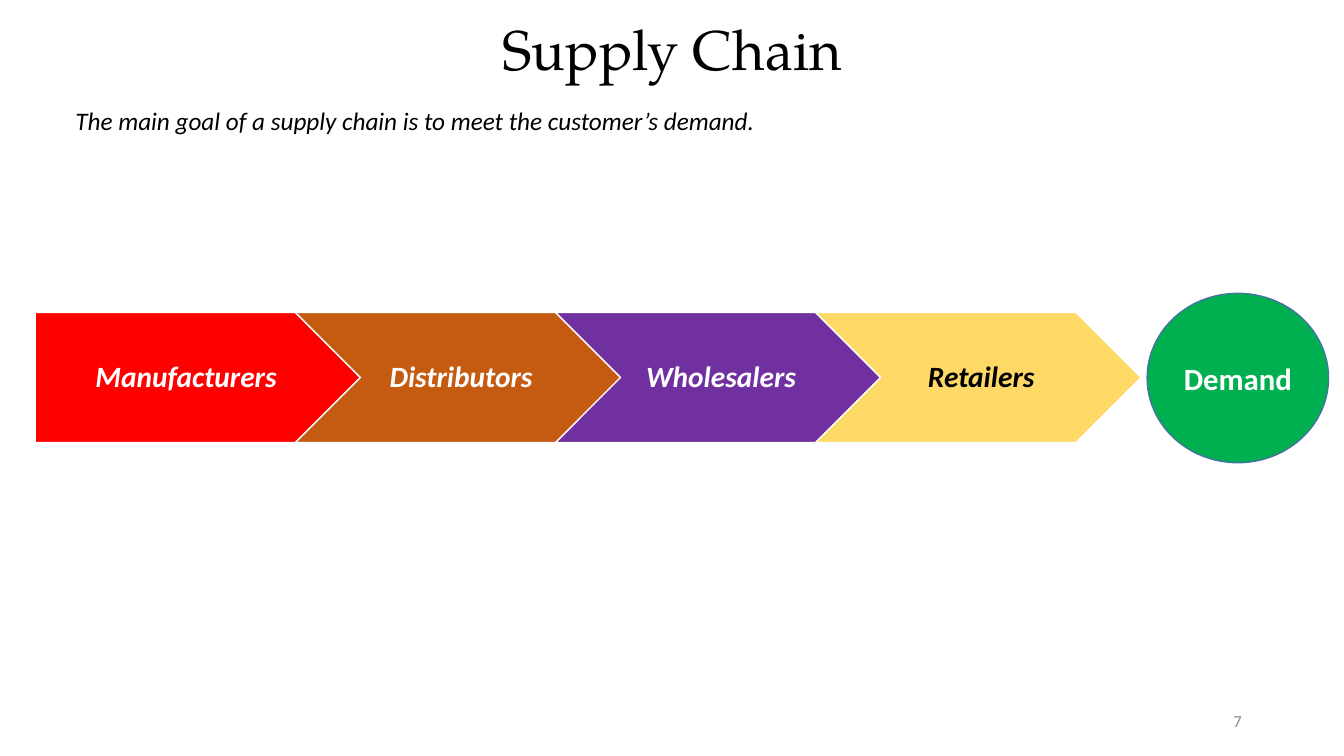
"""Build the supply chain slide: four linked stages leading to demand."""
from dataclasses import dataclass

from pptx import Presentation
from pptx.dml.color import RGBColor
from pptx.enum.shapes import MSO_SHAPE
from pptx.enum.text import MSO_ANCHOR, PP_ALIGN
from pptx.util import Pt

PENTAGON, CHEVRON, OVAL = MSO_SHAPE.PENTAGON, MSO_SHAPE.CHEVRON, MSO_SHAPE.OVAL
TOP, MIDDLE = MSO_ANCHOR.TOP, MSO_ANCHOR.MIDDLE
LEFT, CENTER, RIGHT = PP_ALIGN.LEFT, PP_ALIGN.CENTER, PP_ALIGN.RIGHT

COLORS = {
    "black": "000000", "white": "FFFFFF", "gray": "8C8C8C", "red": "FF0000",
    "brown": "C55A11", "purple": "7030A0", "yellow": "FFD966",
    "green": "00B050", "blue": "43739E",
}
STAGE_LEFT, STAGE_TOP, STAGE_WIDTH, STAGE_HEIGHT = 25.2, 223.2, 232.4, 92.9
STAGE_STEP = 185.8


@dataclass
class Label:
    text: str
    size: float
    color: str = "black"
    font: str = "Calibri"
    bold: bool = False
    italic: bool = False
    align: PP_ALIGN = CENTER
    anchor: MSO_ANCHOR = MIDDLE
    spacing: float = 1.0
    wrap: bool = True
    insets: tuple[float, float, float, float] = (7.2, 3.6, 7.2, 3.6)


@dataclass
class Box:
    left: float
    top: float
    width: float
    height: float

    def lengths(self) -> list[Pt]:
        return [Pt(v) for v in (self.left, self.top, self.width, self.height)]


@dataclass
class Stage:
    name: str
    shape: MSO_SHAPE
    fill: str
    color: str
    left_inset: float


TEXTS = [
    (Box(678.2, 500.4, 216, 28.8), Label("7", 12, "gray", align=RIGHT)),
    (Box(66.2, 13.7, 828, 46.8),
     Label("Supply Chain", 40, font="TeX Gyre Pagella", spacing=0.9)),
    (Box(46.8, 72, 517, 28.8),
     Label("The main goal of a supply chain is to meet the customer’s demand.", 18,
           italic=True, align=LEFT, anchor=TOP, wrap=False)),
]
STAGES = [
    Stage("Manufacturers", PENTAGON, "red", "white", 8.4),
    Stage("Distributors", CHEVRON, "brown", "white", 6.3),
    Stage("Wholesalers", CHEVRON, "purple", "white", 6.3),
    Stage("Retailers", CHEVRON, "yellow", "black", 6.3),
]


def rgb(name: str) -> RGBColor:
    return RGBColor.from_string(COLORS[name])


def write(s, label: Label) -> None:
    tf = s.text_frame
    left, top, right, bottom = (Pt(v) for v in label.insets)
    frame_format = {
        "word_wrap": label.wrap, "vertical_anchor": label.anchor,
        "margin_left": left, "margin_top": top,
        "margin_right": right, "margin_bottom": bottom,
    }
    for name, value in frame_format.items():
        setattr(tf, name, value)
    p = tf.paragraphs[0]
    p.alignment, p.line_spacing = label.align, label.spacing
    r = p.add_run()
    r.text = label.text
    font_format = {"name": label.font, "size": Pt(label.size),
                   "bold": label.bold, "italic": label.italic}
    for name, value in font_format.items():
        setattr(r.font, name, value)
    r.font.color.rgb = rgb(label.color)


def add_text(slide, box: Box, label: Label) -> None:
    write(slide.shapes.add_textbox(*box.lengths()), label)


def add_shape(slide, kind: MSO_SHAPE, box: Box, fill: str, line: str, label: Label) -> None:
    s = slide.shapes.add_shape(kind, *box.lengths())
    s.shadow.inherit = False
    s.fill.solid()
    s.fill.fore_color.rgb = rgb(fill)
    s.line.color.rgb = rgb(line)
    s.line.width = Pt(1)
    write(s, label)


def main() -> None:
    prs = Presentation()
    prs.slide_width, prs.slide_height = Pt(960), Pt(540)
    slide = prs.slides.add_slide(prs.slide_layouts[6])
    for box, label in TEXTS:
        add_text(slide, box, label)
    for i, stage in enumerate(STAGES):
        box = Box(STAGE_LEFT + i * STAGE_STEP, STAGE_TOP, STAGE_WIDTH, STAGE_HEIGHT)
        label = Label(stage.name, 21, stage.color, bold=True, italic=True, spacing=0.9,
                      insets=(stage.left_inset, 4.2, 2.1, 4.2))
        add_shape(slide, stage.shape, box, stage.fill, "white", label)
    add_shape(slide, OVAL, Box(819.4, 209.5, 129.6, 121), "green", "blue",
              Label("Demand", 22, "white", bold=True))
    prs.save("out.pptx")


if __name__ == "__main__":
    main()
